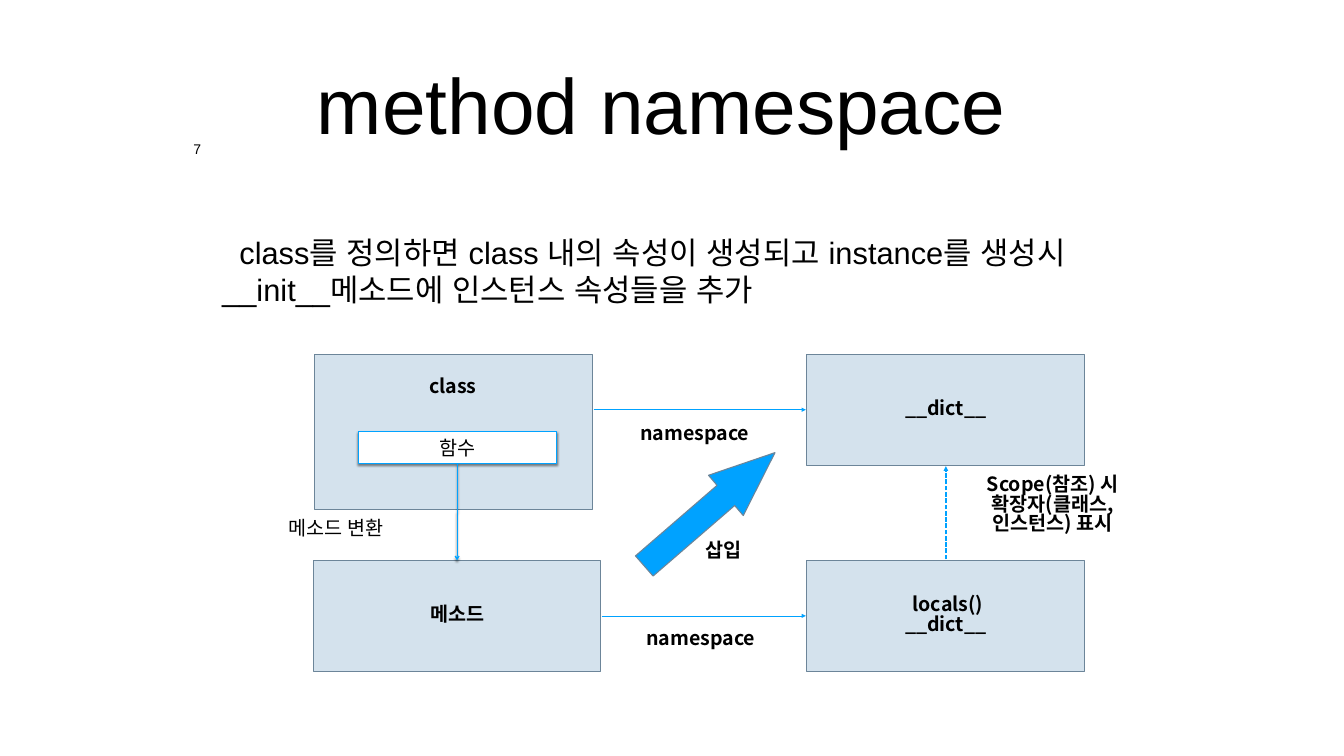
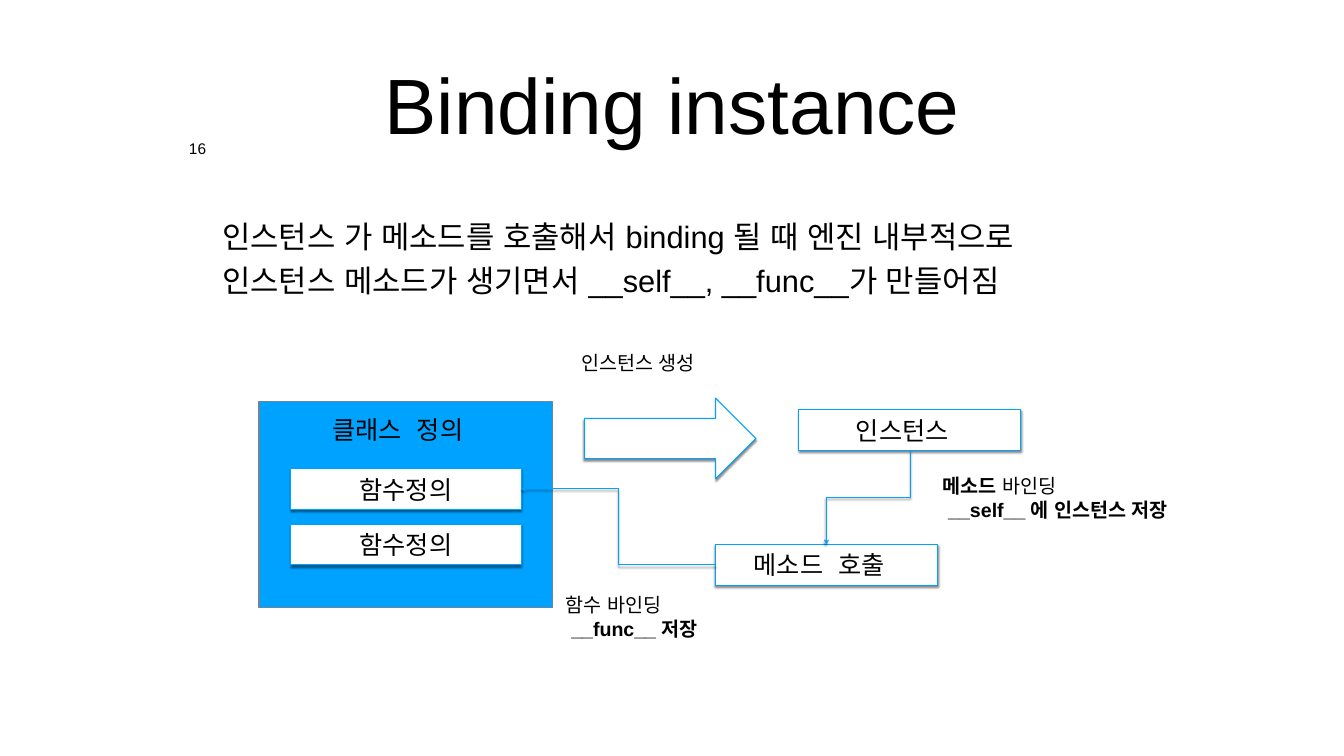
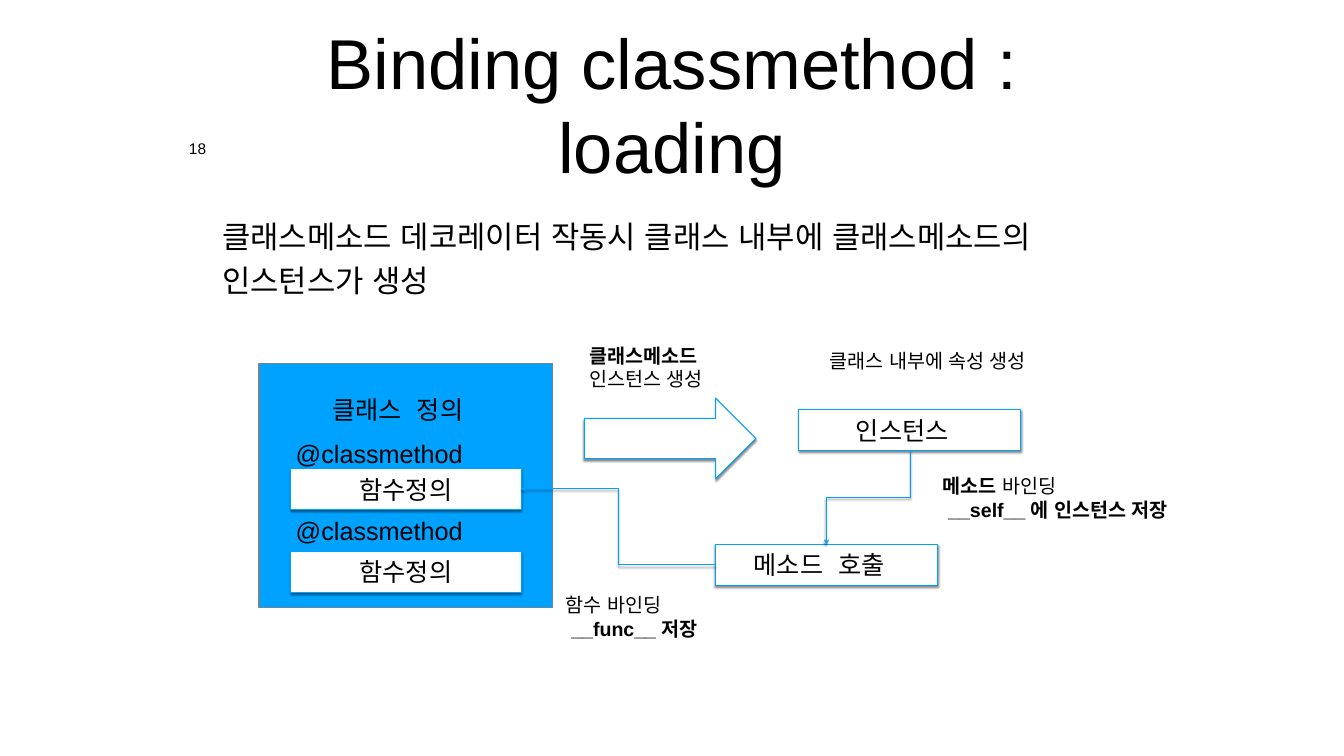
from lxml.etree import SubElement
from pptx import Presentation
from pptx.dml.color import RGBColor
from pptx.enum.dml import MSO_LINE
from pptx.enum.shapes import MSO_CONNECTOR as CONN, MSO_SHAPE as SHAPE
from pptx.enum.text import MSO_ANCHOR as ANCHOR, MSO_AUTO_SIZE as AUTO, PP_ALIGN as ALIGN
from pptx.oxml.ns import qn
from pptx.util import Pt

PX = 9144  # 100 px to the inch
BLACK = RGBColor(0x00, 0x00, 0x00)
WHITE = RGBColor(0xFF, 0xFF, 0xFF)
BLUE = RGBColor(0x00, 0xA2, 0xFF)
PALE = RGBColor(0xD4, 0xE2, 0xED)
SLATE = RGBColor(0x6C, 0x85, 0x99)
SANS, KOREAN, MONO = "Arial", "Noto Sans CJK KR", "Noto Sans Mono"


def px(*lengths):
    return [round(n * PX) for n in lengths]


def write(sp, paras, size, font=SANS, bold=False, align=ALIGN.LEFT,
          anchor=ANCHOR.TOP, inset=(10, 10), wrap=True, spacing=None):
    """Fill a shape; each paragraph is a string or a list of (text, bold) runs."""
    tf = sp.text_frame
    tf.word_wrap = wrap
    tf.auto_size = AUTO.NONE
    tf.vertical_anchor = anchor
    tf.margin_left = tf.margin_right = inset[0] * PX
    tf.margin_top = tf.margin_bottom = inset[1] * PX
    for i, para in enumerate(paras):
        p = tf.paragraphs[0] if i == 0 else tf.add_paragraph()
        p.alignment = align
        p.space_before = Pt(0)
        if spacing:
            p.line_spacing = spacing
        for text, is_bold in [(para, bold)] if isinstance(para, str) else para:
            r = p.add_run()
            r.text = text
            r.font.name, r.font.size, r.font.bold = font, Pt(size), is_bold
            r.font.color.rgb = BLACK
            SubElement(r.font._element, qn("a:ea"), typeface=font)


def add_shadow(effects):
    shadow = SubElement(effects, qn("a:outerShdw"), blurRad=str(Pt(3)), dist=str(Pt(2.4)),
                        dir="5400000", algn="b", rotWithShape="0")
    color = SubElement(shadow, qn("a:srgbClr"), val=str(BLACK))
    SubElement(color, qn("a:alpha"), val="45000")


def paint(sp, fill, line, shadow=False):
    sp.fill.solid()
    sp.fill.fore_color.rgb = fill
    sp.line.color.rgb = line
    sp.line.width = Pt(1.5)
    sp.shadow.inherit = False
    if shadow:
        add_shadow(sp._element.spPr.find(qn("a:effectLst")))


def panel(s, x, y, w, h, fill, paras=()):
    sp = s.shapes.add_shape(SHAPE.RECTANGLE, *px(x, y, w, h))
    paint(sp, fill, SLATE)
    if paras:
        write(sp, paras, 28, KOREAN, True, ALIGN.CENTER, ANCHOR.MIDDLE, spacing=0.83)


def card(s, x, y, w, h, text, size=36):
    """White box with a blue outline and a shadow."""
    sp = s.shapes.add_shape(SHAPE.RECTANGLE, *px(x, y, w, h))
    paint(sp, WHITE, BLUE, shadow=True)
    write(sp, [text], size, MONO, align=ALIGN.CENTER, anchor=ANCHOR.MIDDLE)


def label(s, x, y, w, h, paras, size=28, **style):
    write(s.shapes.add_textbox(*px(x, y, w, h)), paras, size, **style)


def bold_label(s, x, y, w, h, text):
    label(s, x, y, w, h, [text], font=KOREAN, bold=True, align=ALIGN.CENTER,
          inset=(10, 5), spacing=0.83)


def arrow(s, kind, x1, y1, x2, y2, width=1.5, head="arrow", dash=None, shadow=False):
    c = s.shapes.add_connector(kind, *px(x1, y1, x2, y2))
    c.line.color.rgb = BLUE
    c.line.width = Pt(width)
    if dash:
        c.line.dash_style = dash
    sppr = c._element.spPr
    SubElement(sppr.find(qn("a:ln")), qn("a:tailEnd"), type=head)
    effects = SubElement(sppr, qn("a:effectLst"))
    if shadow:
        add_shadow(effects)
    return c


def elbow_down(s, x1, y1, x2, y2):
    """Elbow that leaves downwards: a horizontal elbow turned by 90 degrees."""
    cx, cy = (x1 + x2) / 2, (y1 + y2) / 2
    w, h = (y2 - y1) / 2, (x1 - x2) / 2
    c = arrow(s, CONN.ELBOW, cx - w, cy - h, cx + w, cy + h, shadow=True)
    c._element.spPr.find(qn("a:xfrm")).set("rot", "5400000")


def place(sp, x, y, w, h):
    sp.left, sp.top, sp.width, sp.height = px(x, y, w, h)


def base_slide(prs, title, body, title_size=112, body_height=299, spacing=1.2, indent=0):
    s = prs.slides.add_slide(prs.slide_layouts[1])
    heading, text = s.placeholders
    place(heading, 480, 39, 1707, 332)
    write(heading, [title], title_size, align=ALIGN.CENTER, anchor=ANCHOR.MIDDLE, inset=(8, 8))
    place(text, 433, 356, 1800, body_height)
    write(text, [body], 44, anchor=ANCHOR.MIDDLE, inset=(8, 8), spacing=spacing)
    ppr = text.text_frame.paragraphs[0]._p.get_or_add_pPr()
    ppr.set("marL", "0")
    ppr.set("indent", str(indent * PX))
    SubElement(ppr, qn("a:buNone"))
    return s


def page_number(s, x, y, w, h, number, size=22):
    label(s, x, y, w, h, [number], size, align=ALIGN.CENTER, inset=(8, 8),
          wrap=False, spacing=0.8)


def namespace_slide(prs):
    s = base_slide(prs, "method namespace ",
                   "class를 정의하면 class 내의 속성이 생성되고 instance를 생성시 "
                   "__init__메소드에 인스턴스 속성들을 추가",
                   body_height=362, spacing=None, indent=34)
    panel(s, 625, 703, 551, 308, PALE)
    bold_label(s, 623, 744, 551, 67, "class")
    panel(s, 1601, 703, 551, 220, PALE, ["__dict__"])
    panel(s, 623, 1112, 569, 220, PALE, ["메소드"])
    panel(s, 1601, 1112, 551, 220, PALE, [" locals()", "__dict__"])
    for x, y in ((1178, 813), (1194, 1222)):
        arrow(s, CONN.STRAIGHT, x, y, 1599, y, 0.79, "triangle")
    arrow(s, CONN.STRAIGHT, 1877, 1110, 1877, 925, 2.25, "triangle", MSO_LINE.SQUARE_DOT)

    insert_arrow = [(1475, 1023), (1458, 1003), (1296, 1143), (1261, 1103),
                    (1423, 963), (1406, 943), (1538, 898)]
    builder = s.shapes.build_freeform(*insert_arrow[0], scale=PX)
    builder.add_line_segments(insert_arrow[1:], close=True)
    paint(builder.convert_to_shape(), BLUE, SLATE)

    bold_label(s, 1221, 839, 315, 57, "namespace")
    bold_label(s, 1233, 1244, 315, 57, "namespace")
    bold_label(s, 1916, 940, 346, 151, "Scope(참조) 시 확장자(클래스, 인스턴스) 표시")
    bold_label(s, 1349, 1070, 173, 57, "삽입")
    page_number(s, 376, 278, 31, 43, "7", 20)
    card(s, 711, 857, 394, 63, "함수", 28)
    elbow_down(s, 908, 920, 907, 1112)
    label(s, 562, 1014, 283, 67, ["메소드 변환"])


def binding_slide(prs, title, body, number, panel_top, caption_top, function_tops, **style):
    """Class panel with its functions, bound through an instance to a method call."""
    s = base_slide(prs, title, body, **style)
    page_number(s, 367, 275, 50, 45, number)
    panel(s, 514, panel_top, 583, 1206 - panel_top, BLUE)
    label(s, 577, caption_top, 425, 81, ["클래스 정의"], 36, font=MONO, align=ALIGN.CENTER)
    for top in function_tops:
        card(s, 577, top, 457, 81, "함수정의")
    card(s, 1585, 813, 441, 81, "인스턴스 ")
    paint(s.shapes.add_shape(SHAPE.RIGHT_ARROW, *px(1160, 790, 340, 160)), WHITE, BLUE, shadow=True)
    card(s, 1420, 1080, 441, 81, "메소드 호출 ")
    elbow_down(s, 1806, 894, 1640, 1080)
    arrow(s, CONN.ELBOW, 1420, 1121, 1034, 970, shadow=True)
    label(s, 1113, 1167, 409, 114, ["함수 바인딩", [(" __func__ 저장", True)]])
    label(s, 1861, 931, 718, 114, [[("메소드", True), (" 바인딩", False)],
                                   [(" __self__ 에 인스턴스 저장", True)]])
    return s


def main():
    prs = Presentation()
    prs.slide_width, prs.slide_height = px(2667, 1500)

    namespace_slide(prs)

    s = binding_slide(prs, "Binding instance",
                      "인스턴스 가 메소드를 호출해서 binding 될 때 엔진 내부적으로 "
                      "인스턴스 메소드가 생기면서 __self__, __func__가 만들어짐",
                      "16", 797, 813, (930, 1040))
    label(s, 1144, 687, 362, 67, ["인스턴스 생성"])

    s = binding_slide(prs, "Binding classmethod : loading",
                      "클래스메소드 데코레이터 작동시 클래스 내부에 클래스메소드의 인스턴스가 생성",
                      "18", 721, 773, (930, 1094), title_size=100.8)
    label(s, 1160, 672, 362, 114, [[("클래스메소드 ", True), ("인스턴스 생성", False)]])
    for top in (860, 1012):
        label(s, 577, top, 425, 81, ["@classmethod"], 36)
    label(s, 1637, 682, 449, 67, ["클래스 내부에 속성 생성"])

    prs.save("out.pptx")


if __name__ == "__main__":
    main()
